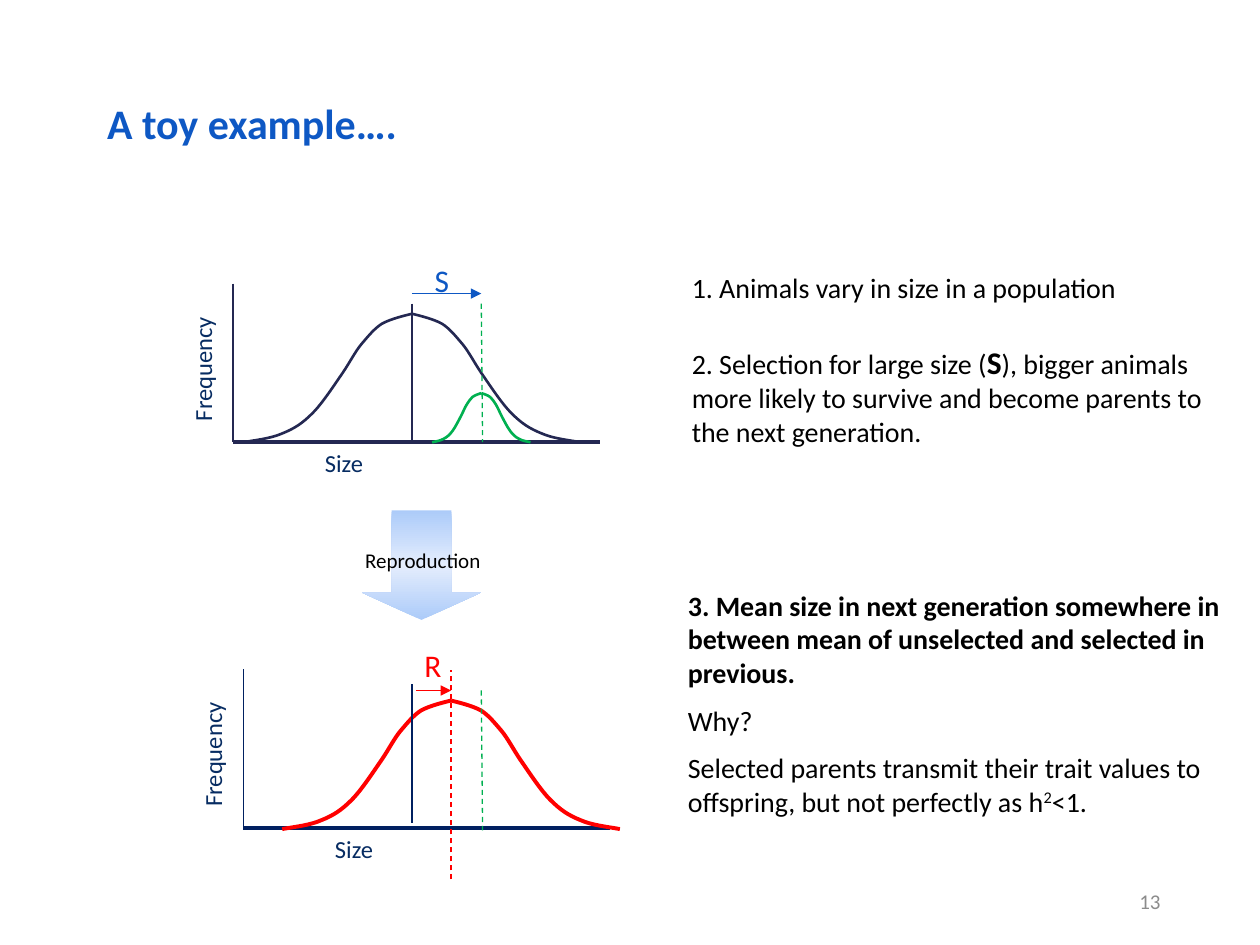
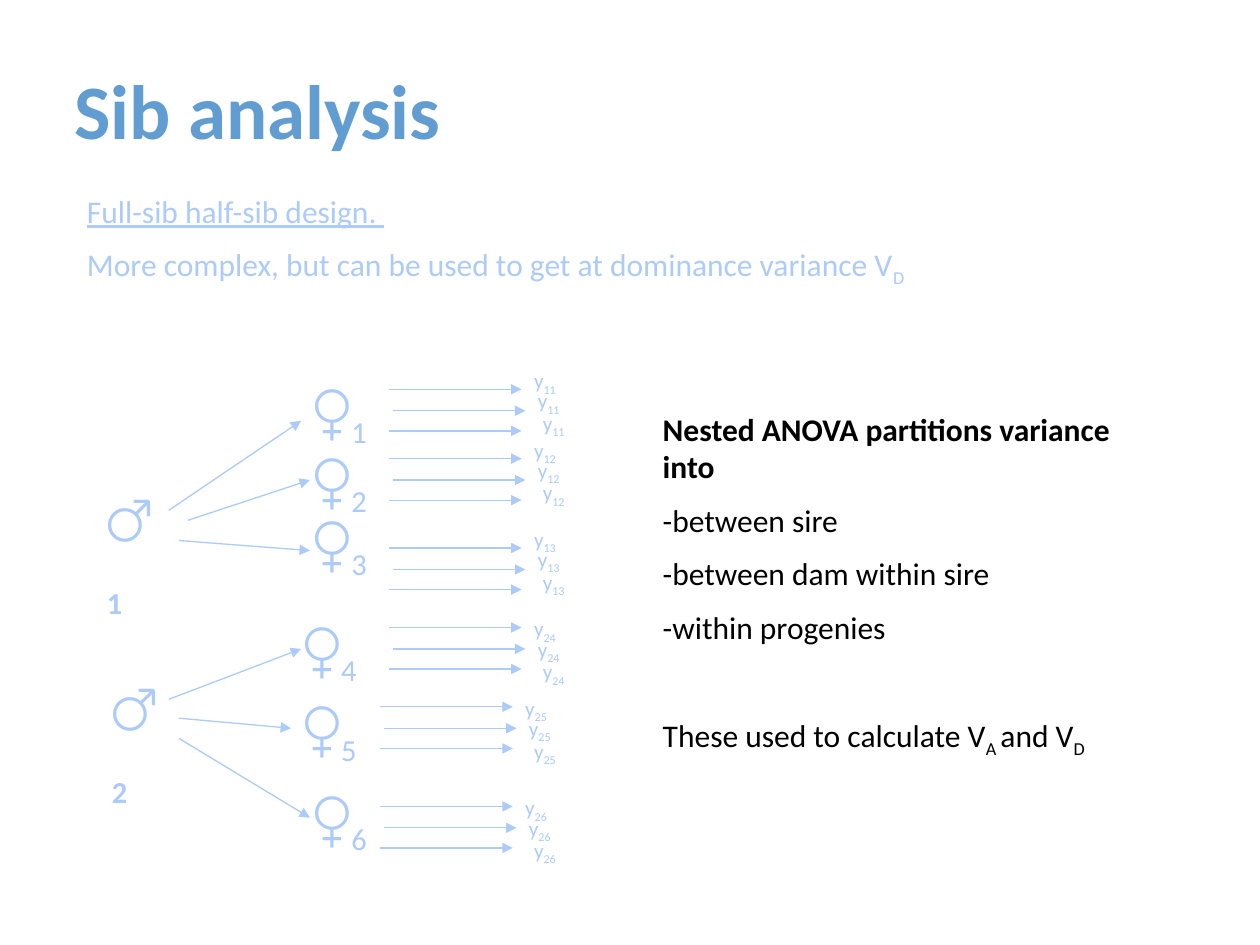
from copy import deepcopy

from lxml.etree import SubElement
from pptx import Presentation
from pptx.dml.color import RGBColor
from pptx.enum.dml import MSO_LINE
from pptx.enum.shapes import MSO_CONNECTOR, MSO_SHAPE
from pptx.enum.text import MSO_ANCHOR, MSO_AUTO_SIZE, PP_ALIGN
from pptx.oxml.ns import qn
from pptx.util import Inches, Pt

FONT = "Calibri"
BLACK = RGBColor(0x00, 0x00, 0x00)
GREY = RGBColor(0x8C, 0x8C, 0x8C)
BLUE = RGBColor(0x0E, 0x58, 0xC4)
LABEL_BLUE = RGBColor(0x07, 0x2C, 0x62)
INDIGO = RGBColor(0x24, 0x28, 0x52)
NAVY = RGBColor(0x00, 0x20, 0x60)
SKY = RGBColor(0x62, 0x9D, 0xD1)
PALE = RGBColor(0xAC, 0xCB, 0xF9)
PALEST = RGBColor(0xE4, 0xED, 0xFD)
GREEN = RGBColor(0x00, 0xB0, 0x50)
RED = RGBColor(0xFF, 0x00, 0x00)

TWO_CONTENT = 3  # layout with a title and two bodies
SUBSCRIPT = {"baseline": -25}

# Half of a bell: Bezier points as (distance from foot, height)
BELL_WIDTH, BELL_HEIGHT = 1.34, 1.02
BELL_POINTS = [
    (0, 0), (0.11, 0.02), (0.22, 0.03), (0.31, 0.07), (0.41, 0.11), (0.47, 0.15),
    (0.55, 0.23), (0.63, 0.31), (0.72, 0.45), (0.79, 0.55), (0.85, 0.64), (0.89, 0.72),
    (0.94, 0.78), (1.0, 0.85), (1.04, 0.9), (1.1, 0.94), (1.17, 0.98), (1.3, 1.01),
    (1.34, 1.02),
]


# Shared text and line helpers
def add_run(paragraph, text, size=18, color=BLACK, bold=False, underline=False, baseline=0):
    run = paragraph.add_run()
    run.text = text
    font = run.font
    font.name, font.size, font.bold, font.underline = FONT, Pt(size), bold, underline
    font.color.rgb = color
    if baseline:
        font._element.set("baseline", str(baseline * 1000))


def write_text(frame, paragraphs, size=18, align=PP_ALIGN.LEFT, anchor=MSO_ANCHOR.TOP,
               gaps=None, line_spacing=1.0, **style):
    """Each paragraph is a list of runs: a string, or a string with its own format."""
    frame.word_wrap = True
    frame.auto_size = MSO_AUTO_SIZE.NONE
    frame.vertical_anchor = anchor
    for index, runs in enumerate(paragraphs):
        paragraph = frame.add_paragraph() if index else frame.paragraphs[0]
        paragraph.alignment = align
        paragraph.line_spacing = line_spacing
        gap = (gaps or {}).get(index, size / 2) if index else 0
        paragraph.space_before = Pt(gap)
        properties = paragraph._p.get_or_add_pPr()
        properties.set("marL", "0")
        properties.set("indent", "0")
        SubElement(properties, qn("a:buNone"))
        for run in runs:
            text, own_style = (run, {}) if isinstance(run, str) else run
            add_run(paragraph, text, **{"size": size, **style, **own_style})


def add_text(slide, box, runs, rotation=0, **style):
    shape = slide.shapes.add_textbox(*map(Inches, box))
    shape.rotation = rotation
    write_text(shape.text_frame, [runs], **style)


def fill_placeholder(slide, index, box, paragraphs, **style):
    shape = slide.placeholders[index]
    shape.left, shape.top, shape.width, shape.height = map(Inches, box)
    write_text(shape.text_frame, paragraphs, **style)


def add_line(slide, start, end, color, width=0.75, dashed=False, arrow=False):
    line = slide.shapes.add_connector(
        MSO_CONNECTOR.STRAIGHT, *map(Inches, (*start, *end)))
    line.line.color.rgb = color
    line.line.width = Pt(width)
    if dashed:
        line.line.dash_style = MSO_LINE.DASH
    properties = line._element.spPr
    if arrow:
        SubElement(properties.find(qn("a:ln")), qn("a:tailEnd"), type="triangle")
    SubElement(properties, qn("a:effectLst"))


# Parts of the selection slide
def curve_segments(shape):
    """Turn every three line segments into one cubic Bezier segment."""
    segments = list(shape._element.iter(qn("a:lnTo")))
    for first in range(0, len(segments), 3):
        curve = segments[first]
        curve.tag = qn("a:cubicBezTo")
        for segment in segments[first + 1:first + 3]:
            curve.append(segment[0])
            segment.getparent().remove(segment)


def add_bell(slide, middle, base, half_width, height, color, width):
    for side in (-1, 1):
        points = [
            (Inches(middle + side * half_width * (1 - x / BELL_WIDTH)),
             Inches(base - height * y / BELL_HEIGHT))
            for x, y in BELL_POINTS]
        builder = slide.shapes.build_freeform(*points[0], scale=1.0)
        builder.add_line_segments(points[1:], close=False)
        half = builder.convert_to_shape()
        curve_segments(half)
        half.shadow.inherit = False
        half.fill.background()
        half.line.color.rgb = color
        half.line.width = Pt(width)


def add_axes(slide, left, base, color):
    add_line(slide, (left, base), (left + 2.91, base), color, width=2.25)
    add_line(slide, (left, base - 1.26), (left, base), color)
    label_style = {"size": 14, "color": LABEL_BLUE}
    add_text(slide, (left + 0.63, base, 1.34, 0.33), ["Size"], **label_style)
    add_text(slide, (left - 1.07, base - 1.06, 1.65, 0.33), ["Frequency"],
             rotation=270, **label_style)


def add_shift(slide, start, end, height, letter, letter_box, color):
    add_line(slide, (start, height), (end, height), color, arrow=True)
    add_text(slide, letter_box, [letter], color=color)


def add_reproduction_arrow(slide, left, top):
    arrow = slide.shapes.add_shape(
        MSO_SHAPE.DOWN_ARROW, *map(Inches, (left, top, 0.95, 0.87)))
    arrow.shadow.inherit = False
    arrow.adjustments[0], arrow.adjustments[1] = 0.5, 0.25
    arrow.line.fill.background()
    arrow.fill.gradient()
    arrow.fill.gradient_angle = 90
    stops = arrow._element.spPr.find(qn("a:gradFill")).find(qn("a:gsLst"))
    stops.append(deepcopy(stops[0]))
    for stop, position, color in zip(
            arrow.fill.gradient_stops, (0, 0.5, 1), (PALE, PALEST, PALE)):
        stop.position = position
        stop.color.rgb = color
    add_text(slide, (left - 0.07, top + 0.25, 1.34, 0.3), ["Reproduction"], size=12)


def build_selection_slide(presentation):
    slide = presentation.slides.add_slide(presentation.slide_layouts[TWO_CONTENT])
    fill_placeholder(slide, 0, (0.75, 0.72, 7.8, 0.5), [["A toy example…."]],
                     size=24, color=BLUE, bold=True)
    fill_placeholder(slide, 1, (5.39, 2.1, 4.33, 1.57), [
        ["1. Animals vary in size in a population"],
        ["2. Selection for large size (", ("S", {"size": 18, "bold": True}),
         "), bigger animals more likely to survive and become parents to "
         "the next generation."],
    ], size=16, gaps={1: 22})
    fill_placeholder(slide, 2, (5.36, 4.62, 4.61, 2.39), [
        [("3. Mean size in next generation somewhere in between mean of "
          "unselected and selected in previous.", {"bold": True})],
        ["Why?"],
        ["Selected parents transmit their trait values to offspring, "
         "but not perfectly as h", ("2", {"baseline": 30}), "<1."],
    ], size=16)
    add_text(slide, (7.06, 6.95, 2.25, 0.4), ["13"], size=12, color=GREY,
             align=PP_ALIGN.RIGHT, anchor=MSO_ANCHOR.MIDDLE)

    old_mean, new_mean, parent_mean = 3.27, 3.58, 3.82

    # Parent generation, with the selected animals in green
    base = 3.51
    add_axes(slide, 1.85, base, INDIGO)
    add_bell(slide, old_mean, base, BELL_WIDTH, BELL_HEIGHT, INDIGO, 1.5)
    add_line(slide, (old_mean, 2.41), (old_mean, base), INDIGO)
    add_bell(slide, parent_mean, base, 0.39, 0.39, GREEN, 1.5)
    add_line(slide, (parent_mean, 2.41), (parent_mean + 0.01, base), GREEN, dashed=True)
    add_shift(slide, old_mean, parent_mean, 2.33, "S", (3.35, 2.02, 0.39, 0.4), BLUE)

    add_reproduction_arrow(slide, 2.87, 4.05)

    # Next generation
    base = 6.57
    add_axes(slide, 1.93, base, NAVY)
    add_bell(slide, new_mean, base + 0.01, BELL_WIDTH, BELL_HEIGHT, RED, 2.25)
    add_line(slide, (new_mean, 6.98), (new_mean, 5.32), RED, dashed=True)
    add_line(slide, (old_mean, 5.43), (old_mean, 6.53), NAVY)
    add_line(slide, (parent_mean, 5.48), (parent_mean + 0.01, 6.59), GREEN, dashed=True)
    add_shift(slide, 3.3, new_mean, 5.48, "R", (3.27, 5.08, 0.39, 0.4), RED)


# Parts of the sib analysis slide
def add_sire(slide, number, left, top, arrows):
    add_text(slide, (left, top, 0.67, 0.6), ["♂", (number, SUBSCRIPT)],
             size=30, color=PALE, bold=True)
    for start, end in arrows:
        add_line(slide, start, end, PALE, arrow=True)


def add_dam(slide, number, left, top):
    add_text(slide, (left, top, 0.74, 0.6), ["♀", (number, SUBSCRIPT)],
             size=30, color=PALE)


def add_progeny(slide, code, left, arrow_top, label_top):
    arrow_offsets = [(0, 0), (0.03, 0.17), (0, 0.33)]
    label_offsets = [(1.05, 0), (1.08, 0.16), (1.12, 0.34)]
    for (arrow_x, arrow_y), (label_x, label_y) in zip(arrow_offsets, label_offsets):
        start = left + arrow_x, arrow_top + arrow_y
        add_line(slide, start, (start[0] + 1.05, start[1]), PALE, arrow=True)
        add_text(slide, (left + label_x, label_top + label_y, 0.6, 0.3),
                 ["y", (code, SUBSCRIPT)], size=12, color=PALE)


def build_sib_slide(presentation):
    slide = presentation.slides.add_slide(presentation.slide_layouts[TWO_CONTENT])
    fill_placeholder(slide, 0, (0.49, 0.36, 9, 1.1), [["Sib analysis"]], size=44,
                     color=SKY, bold=True, anchor=MSO_ANCHOR.MIDDLE, line_spacing=0.9)
    fill_placeholder(slide, 1, (0.59, 1.47, 7.95, 0.85), [
        [("Full-sib half-sib design. ", {"underline": True})],
        ["More complex, but can be used to get at dominance variance V",
         ("D", SUBSCRIPT)],
    ], color=PALE)
    fill_placeholder(slide, 2, (5.16, 3.2, 4.02, 2.96), [
        [("Nested ANOVA partitions variance into", {"bold": True})],
        ["-between sire"],
        ["-between dam within sire"],
        ["-within progenies"],
        ["These used to calculate V", ("A ", SUBSCRIPT), "and V", ("D", SUBSCRIPT)],
    ], gaps={4: 40})

    # Sires and the arrows to their dams
    add_sire(slide, "1", 0.75, 3.81, [
        ((1.34, 4.05), (2.39, 3.34)),
        ((1.49, 4.13), (2.46, 3.81)),
        ((1.42, 4.29), (2.46, 4.37))])
    add_sire(slide, "2", 0.79, 5.31, [
        ((1.34, 5.55), (2.39, 5.15)),
        ((1.42, 5.7), (2.31, 5.78)),
        ((1.42, 5.86), (2.46, 6.49))])

    # Dams: sire and dam number, dam place, progeny left, arrow top, label top
    families = [
        ("11", 2.39, 2.95, 3.09, 3.09, 2.87),
        ("12", 2.39, 3.5, 3.09, 3.64, 3.42),
        ("13", 2.39, 4.0, 3.09, 4.35, 4.13),
        ("24", 2.31, 4.84, 3.09, 4.98, 4.84),
        ("25", 2.31, 5.47, 3.02, 5.61, 5.47),
        ("26", 2.39, 6.18, 3.02, 6.4, 6.26),
    ]
    for code, dam_left, dam_top, progeny_left, arrow_top, label_top in families:
        add_dam(slide, code[1], dam_left, dam_top)
        add_progeny(slide, code, progeny_left, arrow_top, label_top)


def main():
    presentation = Presentation()
    presentation.slide_width, presentation.slide_height = Inches(10), Inches(7.5)
    build_selection_slide(presentation)
    build_sib_slide(presentation)
    presentation.save("out.pptx")


if __name__ == "__main__":
    main()
